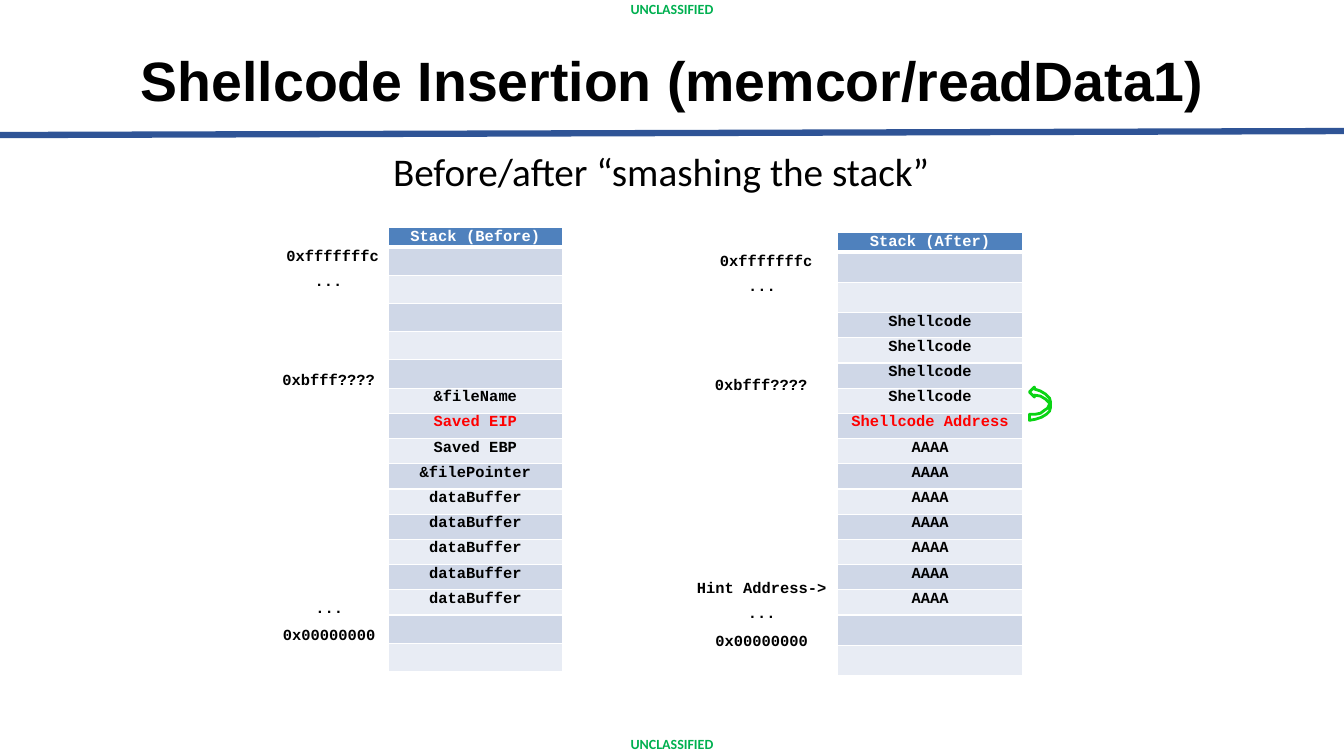
from lxml import etree
from pptx import Presentation
from pptx.dml.color import RGBColor
from pptx.enum.shapes import MSO_CONNECTOR
from pptx.enum.text import MSO_ANCHOR, PP_ALIGN
from pptx.oxml.ns import qn
from pptx.util import Inches, Pt

LEFT, CENTER = PP_ALIGN.LEFT, PP_ALIGN.CENTER
TOP, MIDDLE = MSO_ANCHOR.TOP, MSO_ANCHOR.MIDDLE
STRAIGHT = MSO_CONNECTOR.STRAIGHT

MARKING = "UNCLASSIFIED"
TITLE = "Shellcode Insertion (memcor/readData1)"
SUBTITLE = "Before/after “smashing the stack”"
STACKS = [
    dict(left=3.85, top=2.26, width=1.73, blank_height=0.28,
         rows=["Stack (Before)"] + [""] * 5
         + ["&fileName", "Saved EIP", "Saved EBP", "&filePointer"]
         + ["dataBuffer"] * 5 + [""] * 2),
    dict(left=8.31, top=2.31, width=1.83, blank_height=0.3,
         rows=["Stack (After)"] + [""] * 2 + ["Shellcode"] * 4
         + ["Shellcode Address"] + ["AAAA"] * 7 + [""] * 2),
]
RETURN_ADDRESSES = ("Saved EIP", "Shellcode Address")
HEADER_HEIGHT, ENTRY_HEIGHT = 0.19, 0.25
HEADER_FILL, ROW_FILLS = "4F81BD", ("E8ECF4", "CFD7E7")

ADDRESSES = [
    ((2.83, 2.36, 0.95, 0.51), 0.08, LEFT, [("0xfffffffc", 0.01, 0), ("...", 0.29, 4.6)]),
    ((2.79, 3.66, 0.95, 0.2), 0.01, LEFT, [("0xbfff????", 0.01, 0)]),
    ((2.79, 5.83, 0.95, 0.56), 0.1, CENTER, [("...", 0, 0), ("0x00000000", 0, 6.2)]),
    ((7.13, 2.41, 0.95, 0.51), 0.08, LEFT, [("0xfffffffc", 0.01, 0), ("...", 0.29, 4.6)]),
    ((7.08, 3.71, 0.95, 0.2), 0.01, LEFT, [("0xbfff????", 0.01, 0)]),
    ((6.9, 5.66, 1.31, 0.79), 0.08, CENTER,
     [("Hint Address->", 0, 0), ("...", 0, 4.6), ("0x00000000", 0, 6.2)]),
]
JUMP_ARROW = [
    (10.42, 4.04), (10.41, 4), (10.37, 3.96), (10.32, 3.93), (10.26, 3.92),
    (10.26, 3.94), (10.21, 3.89), (10.26, 3.84), (10.26, 3.86), (10.32, 3.88),
    (10.37, 3.91), (10.41, 3.95), (10.42, 3.99), (10.42, 4.04), (10.41, 4.08),
    (10.38, 4.11), (10.33, 4.14), (10.27, 4.16), (10.21, 4.17), (10.21, 4.11),
    (10.27, 4.11), (10.32, 4.1), (10.36, 4.07), (10.39, 4.05), (10.41, 4.01),
]


def color(hex_value):
    return RGBColor.from_string(hex_value)


def write(paragraph, text, font="Courier New", size=11, fill="000000", bold=True,
          align=CENTER, line_spacing=1.0, space_before=0, indent=0):
    paragraph.alignment = align
    paragraph.line_spacing = line_spacing
    paragraph.space_before = Pt(space_before)
    if indent:
        paragraph._p.get_or_add_pPr().set("marL", str(Inches(indent)))
    if not text:
        paragraph._p.get_or_add_endParaRPr().set("sz", str(size * 100))
        return
    run = paragraph.add_run()
    run.text = text
    run.font.name = font
    run.font.size = Pt(size)
    run.font.bold = bold
    run.font.color.rgb = color(fill)


def add_frame(slide, box, margins=(0.1, 0.05, 0.1, 0.05), anchor=MIDDLE):
    frame = slide.shapes.add_textbox(*map(Inches, box)).text_frame
    frame.word_wrap = True
    frame.vertical_anchor = anchor
    (frame.margin_left, frame.margin_top,
     frame.margin_right, frame.margin_bottom) = map(Inches, margins)
    return frame


def add_border(cell, side, width):
    line = etree.SubElement(cell._tc.get_or_add_tcPr(), qn("a:" + side), w=str(Pt(width)))
    fill = etree.SubElement(line, qn("a:solidFill"))
    etree.SubElement(fill, qn("a:srgbClr"), val="FFFFFF")


def add_stack(slide, left, top, width, blank_height, rows):
    heights = [HEADER_HEIGHT] + [ENTRY_HEIGHT if text else blank_height for text in rows[1:]]
    box = map(Inches, (left, top, width, sum(heights)))
    table = slide.shapes.add_table(len(rows), 1, *box).table
    for index, (text, height) in enumerate(zip(rows, heights)):
        table.rows[index].height = Inches(height)
        cell = table.cell(index, 0)
        cell.margin_left = cell.margin_top = cell.margin_right = cell.margin_bottom = 0
        add_border(cell, "lnT", 3 if index == 1 else 1)
        add_border(cell, "lnB", 3 if index == 0 else 1)
        cell.fill.solid()
        cell.fill.fore_color.rgb = color(ROW_FILLS[index % 2] if index else HEADER_FILL)
        if index == 0:
            text_fill = "FFFFFF"
        else:
            text_fill = "FF0000" if text in RETURN_ADDRESSES else "000000"
        write(cell.text_frame.paragraphs[0], text, fill=text_fill, line_spacing=1.04)


def add_addresses(slide, box, top_margin, align, lines):
    frame = add_frame(slide, box, margins=(0, top_margin, 0, 0), anchor=TOP)
    for index, (text, indent, space_before) in enumerate(lines):
        paragraph = frame.add_paragraph() if index else frame.paragraphs[0]
        write(paragraph, text, align=align, indent=indent, space_before=space_before)


def main():
    presentation = Presentation()
    presentation.slide_width, presentation.slide_height = Inches(13.33), Inches(7.5)
    slide = presentation.slides.add_slide(presentation.slide_layouts[6])

    rule = slide.shapes.add_connector(
        STRAIGHT, Inches(0), Inches(1.34), Inches(13.33), Inches(1.3))
    rule.line.color.rgb = color("2F5496")
    rule.line.width = Pt(4.5)
    etree.SubElement(rule._element.spPr, qn("a:effectLst"))

    for top in (0.03, 7.33):
        frame = add_frame(slide, (0, top, 13.33, 0.13))
        write(frame.paragraphs[0], MARKING, font="Calibri", size=10, fill="00B050",
              line_spacing=0.9)
    title = add_frame(slide, (0.92, 0.34, 11.5, 0.97))
    write(title.paragraphs[0], TITLE, font="Arial", size=39.6, line_spacing=0.9)
    subtitle = add_frame(slide, (3.8, 1.46, 5.74, 0.62), anchor=TOP)
    write(subtitle.paragraphs[0], SUBTITLE, font="Calibri", size=28, bold=False,
          align=LEFT, line_spacing=0.9)

    for stack in STACKS:
        add_stack(slide, **stack)
    for block in ADDRESSES:
        add_addresses(slide, *block)

    points = [(Inches(x), Inches(y)) for x, y in JUMP_ARROW]
    builder = slide.shapes.build_freeform(*points[0])
    builder.add_line_segments(points[1:], close=False)
    arrow = builder.convert_to_shape()
    arrow.shadow.inherit = False
    arrow.fill.background()
    arrow.line.color.rgb = color("0AD414")
    arrow.line.width = Pt(2)

    presentation.save("out.pptx")


if __name__ == "__main__":
    main()
